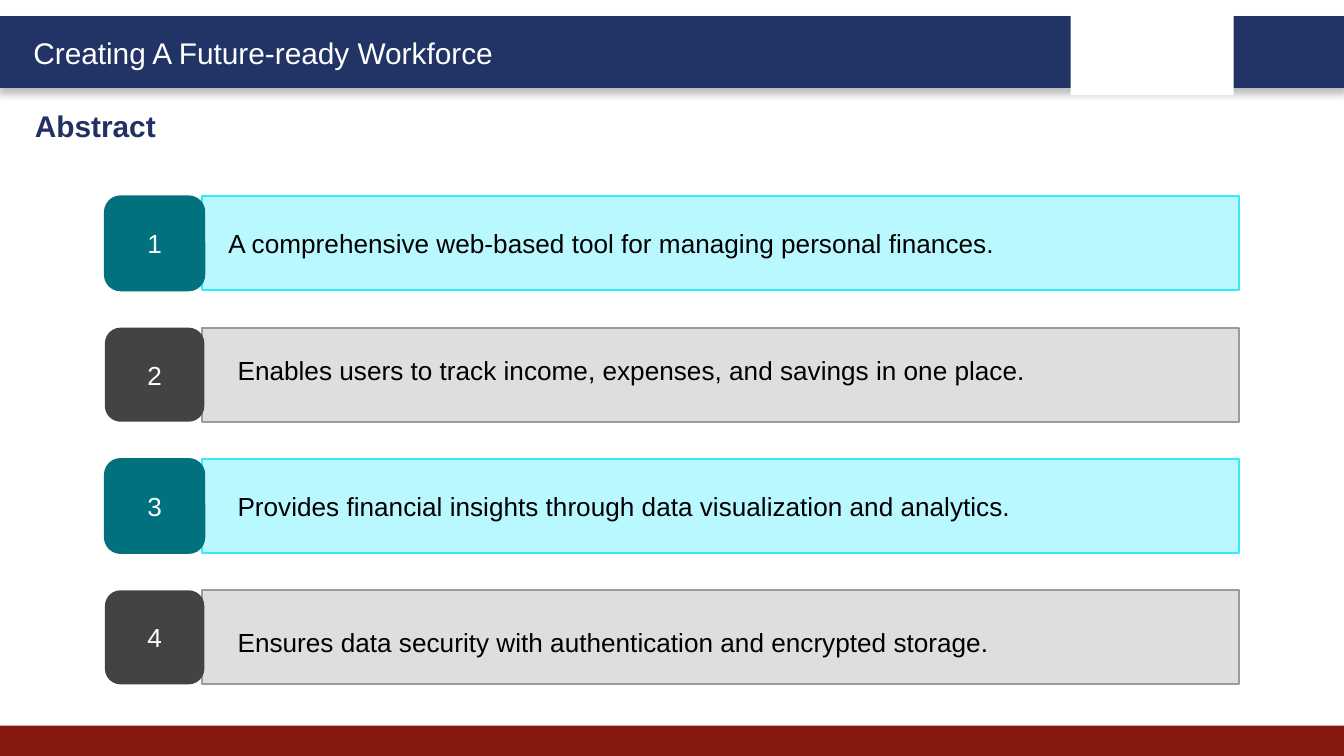
"""Build the abstract slide: header band, title and four numbered statements."""
from dataclasses import dataclass

from lxml import etree
from pptx import Presentation
from pptx.dml.color import RGBColor
from pptx.enum.shapes import MSO_SHAPE
from pptx.enum.text import MSO_ANCHOR, MSO_AUTO_SIZE, PP_ALIGN
from pptx.oxml.ns import qn
from pptx.shapes.autoshape import Shape
from pptx.slide import Slide
from pptx.util import Pt

RECT, ROUNDED = MSO_SHAPE.RECTANGLE, MSO_SHAPE.ROUNDED_RECTANGLE
TOP, MIDDLE = MSO_ANCHOR.TOP, MSO_ANCHOR.MIDDLE
LEFT, CENTER = PP_ALIGN.LEFT, PP_ALIGN.CENTER
FIXED, GROW = MSO_AUTO_SIZE.NONE, MSO_AUTO_SIZE.SHAPE_TO_FIT_TEXT


@dataclass(frozen=True)
class Theme:
    font: str = "Arial"
    heading_size: int = 16
    body_size: int = 14
    white: str = "FFFFFF"
    black: str = "000000"
    header: str = "223366"
    title: str = "213163"
    footer: str = "851910"


@dataclass(frozen=True)
class Box:
    left: float
    top: float
    width: float
    height: float


@dataclass(frozen=True)
class RowStyle:
    fill: str
    line: str
    badge: str
    badge_line: str | None


@dataclass(frozen=True)
class Statement:
    text: str
    width: float


THEME = Theme()
TEAL = RowStyle("BAF8FF", "31EBFF", "00717D", "00717D")
GREY = RowStyle("DEDEDE", "9B9B9B", "434343", None)
STYLES = (TEAL, GREY)
STATEMENTS = (
    Statement("A comprehensive web-based tool for managing personal finances.", 0),
    Statement("Enables users to track income, expenses, and savings in one place.", 468.7),
    Statement("Provides financial insights through data visualization and analytics.", 463.7),
    Statement("Ensures data security with authentication and encrypted storage.", 428.4),
)
ROW_TOP, ROW_PITCH, ROW_HEIGHT = 105.2, 70.35, 50.4
TEXT_TOP, TEXT_PITCH, TEXT_HEIGHT = 113.8, 72.7, 24.5


def place(sp: Shape, box: Box) -> None:
    sp.left, sp.top = Pt(box.left), Pt(box.top)
    sp.width, sp.height = Pt(box.width), Pt(box.height)


def write(sp: Shape, text: str, size: int, color: str, bold: bool = False,
          align: PP_ALIGN = LEFT, anchor: MSO_ANCHOR = TOP) -> None:
    tf = sp.text_frame
    tf.text = text
    tf.word_wrap = True
    tf.vertical_anchor = anchor
    p = tf.paragraphs[0]
    p.alignment = align
    font = p.runs[0].font
    font.name, font.size, font.bold = THEME.font, Pt(size), bold
    font.color.rgb = RGBColor.from_string(color)


def add_block(s: Slide, kind: MSO_SHAPE, box: Box, fill: str,
              line: str | None = None, weight: float = 1) -> Shape:
    sp = s.shapes.add_shape(kind, 0, 0, 0, 0)
    place(sp, box)
    sp.shadow.inherit = False
    sp.fill.solid()
    sp.fill.fore_color.rgb = RGBColor.from_string(fill)
    if line:
        sp.line.color.rgb = RGBColor.from_string(line)
        sp.line.width = Pt(weight)
    else:
        sp.line.fill.background()
    return sp


def add_text(s: Slide, box: Box, text: str, size: int, color: str) -> None:
    sp = s.shapes.add_textbox(0, 0, 0, 0)
    write(sp, text, size, color)
    sp.text_frame.auto_size = GROW
    place(sp, box)


def add_shadow(sp: Shape) -> None:
    effects = sp._element.spPr.find(qn("a:effectLst"))
    shadow = etree.SubElement(effects, qn("a:outerShdw"), blurRad=str(Pt(4)),
                              dist=str(Pt(3)), dir="5400000", rotWithShape="0")
    color = etree.SubElement(shadow, qn("a:srgbClr"), val=THEME.black)
    etree.SubElement(color, qn("a:alpha"), val="25000")


def add_frame(s: Slide) -> None:
    band = add_block(s, RECT, Box(0, 9.4, 720, 36.7), THEME.header, THEME.header, 2)
    add_shadow(band)
    add_block(s, RECT, Box(0, 388.8, 720, 16.2), THEME.footer)
    add_block(s, RECT, Box(573.5, 5, 87.4, 46), THEME.white)
    add_text(s, Box(10.8, 15.1, 272.2, 26.6), "Creating A Future-ready Workforce",
             THEME.heading_size, THEME.white)


def add_row(s: Slide, index: int, statement: Statement) -> None:
    style = STYLES[index % len(STYLES)]
    top = ROW_TOP + index * ROW_PITCH
    bar = add_block(s, RECT, Box(108, top, 555.8, ROW_HEIGHT), style.fill, style.line)
    badge = add_block(s, ROUNDED, Box(56.2, top, 53.3, ROW_HEIGHT),
                      style.badge, style.badge_line)
    write(badge, str(index + 1), THEME.body_size, THEME.white, align=CENTER, anchor=MIDDLE)
    if statement.width:
        box = Box(120.2, TEXT_TOP + index * TEXT_PITCH, statement.width, TEXT_HEIGHT)
        add_text(s, box, statement.text, THEME.body_size, THEME.black)
    else:
        write(bar, statement.text, THEME.body_size, THEME.black, anchor=MIDDLE)
        bar.text_frame.margin_left = Pt(14.4)


def main() -> None:
    prs = Presentation()
    prs.slide_width, prs.slide_height = Pt(720), Pt(405)
    s = prs.slides.add_slide(prs.slide_layouts[5])
    title = s.shapes.title
    place(title, Box(11.5, 54, 348.5, 26.6))
    write(title, "Abstract", THEME.heading_size, THEME.title, bold=True)
    title.text_frame.auto_size = FIXED
    add_frame(s)
    for index, statement in enumerate(STATEMENTS):
        add_row(s, index, statement)
    prs.save("out.pptx")


if __name__ == "__main__":
    main()
